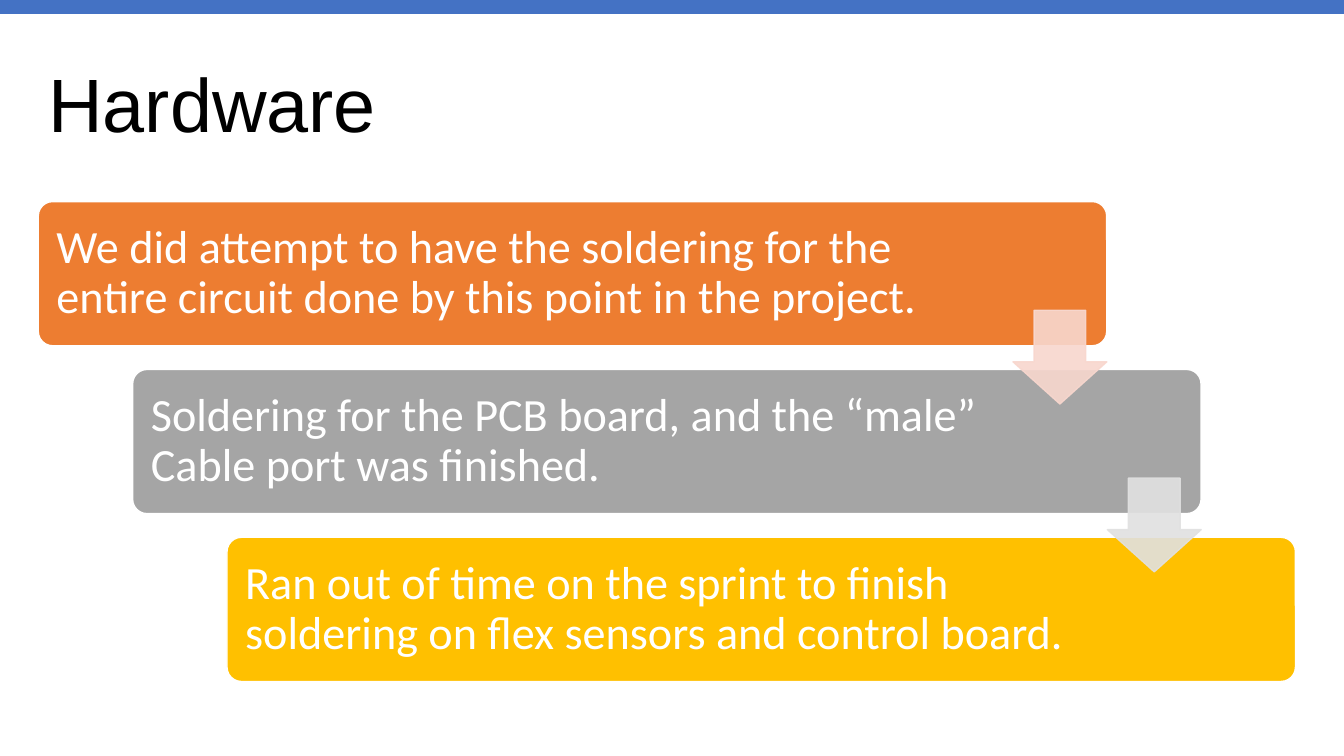
from dataclasses import dataclass

from lxml import etree
from pptx import Presentation
from pptx import util as u
from pptx.dml.color import RGBColor
from pptx.enum import shapes, text
from pptx.oxml.ns import qn

SLIDE_WIDTH, SLIDE_HEIGHT = 960, 540
LEFT, TOP = 27.36, 144
STEP_X, STEP_Y = 67.4, 119.9
CARD_WIDTH, CARD_HEIGHT = 763.2, 103
ARROW_LEFT, ARROW_TOP, ARROW_SIZE = 723.6, 221.6, 67


@dataclass
class Step:
    wording: str
    color: str
    text_width: float
    arrow_color: str | None = None


STEPS = [
    Step("We did attempt to have the soldering for the entire circuit done by "
         "this point in the project.", "ED7D31", 652.3, "F8D7CE"),
    Step("Soldering for the PCB board, and the “male” Cable port was finished.",
         "A5A5A5", 623.5, "E1E1E1"),
    Step("Ran out of time on the sprint to finish soldering on flex sensors and "
         "control board.", "FFC000", 623.5),
]


def rgb(color: str) -> RGBColor:
    return RGBColor.from_string(color)


def add_block(slide, kind, left: float, top: float, width: float, height: float,
              fill: str, line: str | None = None, adjustments: tuple = (),
              opacity: int = 100):
    shape = slide.shapes.add_shape(
        kind, u.Pt(left), u.Pt(top), u.Pt(width), u.Pt(height))
    shape.shadow.inherit = False
    for index, value in enumerate(adjustments):
        shape.adjustments[index] = value
    shape.fill.solid()
    shape.fill.fore_color.rgb = rgb(fill)
    if line:
        shape.line.color.rgb = rgb(line)
        shape.line.width = u.Pt(1)
    else:
        shape.line.fill.background()
    if opacity < 100:
        # Fill and line share the same transparency
        for color in shape._element.spPr.iter(qn("a:srgbClr")):
            etree.SubElement(color, qn("a:alpha")).set("val", str(opacity * 1000))
    return shape


def add_text(slide, wording: str, left: float, top: float, width: float,
             height: float, *, size: float, font: str, color: str,
             inset: tuple[float, float] = (7.2, 3.6)):
    box = slide.shapes.add_textbox(
        u.Pt(left), u.Pt(top), u.Pt(width), u.Pt(height))
    frame = box.text_frame
    frame.word_wrap = True
    frame.vertical_anchor = text.MSO_ANCHOR.MIDDLE
    frame.margin_left = frame.margin_right = u.Pt(inset[0])
    frame.margin_top = frame.margin_bottom = u.Pt(inset[1])
    paragraph = frame.paragraphs[0]
    paragraph.line_spacing = 0.9
    run = paragraph.add_run()
    run.text = wording
    run.font.size = u.Pt(size)
    run.font.name = font
    run.font.color.rgb = rgb(color)
    return box


def add_step(slide, index: int, step: Step) -> None:
    left, top = LEFT + index * STEP_X, TOP + index * STEP_Y
    add_block(slide, shapes.MSO_SHAPE.ROUNDED_RECTANGLE, left, top,
              CARD_WIDTH, CARD_HEIGHT, step.color, "FFFFFF", (0.1,))
    add_text(slide, step.wording, left + 3, top + 3, step.text_width,
             CARD_HEIGHT - 6, size=33, font="Calibri", color="FFFFFF",
             inset=(10, 10))


def add_arrow(slide, index: int, color: str) -> None:
    add_block(slide, shapes.MSO_SHAPE.DOWN_ARROW, ARROW_LEFT + index * STEP_X,
              ARROW_TOP + index * STEP_Y, ARROW_SIZE, ARROW_SIZE, color, color,
              (0.55, 0.45), opacity=90)


def main() -> None:
    presentation = Presentation()
    presentation.slide_width = u.Pt(SLIDE_WIDTH)
    presentation.slide_height = u.Pt(SLIDE_HEIGHT)
    slide = presentation.slides.add_slide(presentation.slide_layouts[6])

    # Title and top bar
    add_text(slide, "Hardware", LEFT, 25.2, 898.6, 104.4,
             size=54, font="Arial", color="000000")
    add_block(slide, shapes.MSO_SHAPE.RECTANGLE, 0, 0, SLIDE_WIDTH, 10, "4472C4")

    # Staircase of steps, with the arrows in front
    for index, step in enumerate(STEPS):
        add_step(slide, index, step)
    for index, step in enumerate(STEPS):
        if step.arrow_color:
            add_arrow(slide, index, step.arrow_color)

    presentation.save("out.pptx")


if __name__ == "__main__":
    main()
